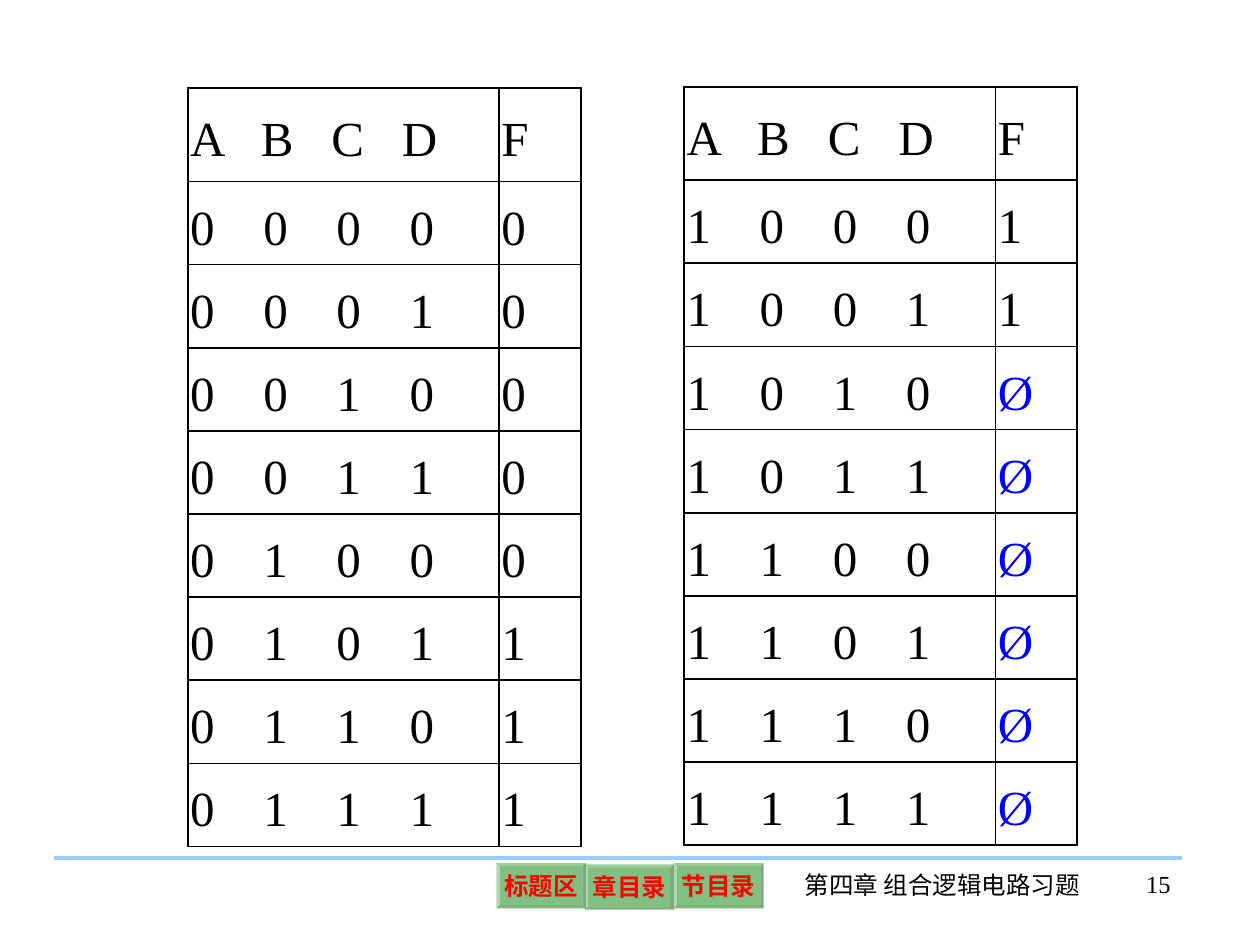
from lxml import etree
from pptx import Presentation, util as u
from pptx.dml.color import RGBColor
from pptx.enum import shapes, text
from pptx.oxml.ns import qn

# Content: inputs ABCD count upwards from the start value, outputs are listed
INPUTS = "ABCD"
TRUTH_TABLES = [
    {"left": 1.49, "top": 0.7, "start": 0, "outputs": "00000111"},
    {"left": 5.43, "top": 0.69, "start": 8, "outputs": "11ØØØØØØ"},
]
BUTTONS = [("标题区", 3.94, 6.85), ("章目录", 4.64, 6.86), ("节目录", 5.35, 6.85)]
FOOTERS = [
    ("第四章 组合逻辑电路习题", 6.15, 6.86, 2.66, text.PP_ALIGN.CENTER),
    ("15", 8.53, 6.85, 0.86, text.PP_ALIGN.RIGHT),
]

THEME = {
    "font": "Times New Roman",
    "table_size": 28, "small_size": 14,
    "ink": "000000", "dont_care": "0000FF", "rule": "99CCFF",
    "button": "008000", "button_text": "FF0000",
}
COLUMN_WIDTHS = (2.47, 0.65)
HEADER_HEIGHT, ROW_HEIGHT = 0.74, 0.66
HEADER_STEP, DIGIT_STEP = 0.56, 0.58
BORDER_WIDTH = 1.08


def style(paragraph, size, color="ink", bold=False):
    for run in paragraph.runs:
        run.font.name = THEME["font"]
        run.font.size = u.Pt(THEME[size])
        run.font.bold = bold
        run.font.color.rgb = RGBColor.from_string(THEME[color])


def add_tab_stops(paragraph, step):
    stops = etree.SubElement(paragraph._p.get_or_add_pPr(), qn("a:tabLst"))
    for n in range(1, len(INPUTS)):
        etree.SubElement(stops, qn("a:tab"), pos=str(u.Inches(step * n)), algn="l")


def add_borders(cell):
    properties = cell._tc.get_or_add_tcPr()
    for side in ("lnL", "lnR", "lnT", "lnB"):
        border = etree.SubElement(properties, qn(f"a:{side}"), w=str(u.Pt(BORDER_WIDTH)))
        fill = etree.SubElement(border, qn("a:solidFill"))
        etree.SubElement(fill, qn("a:srgbClr"), val=THEME["ink"])


def fill_cell(cell, wording, step):
    add_borders(cell)
    cell.fill.background()
    cell.margin_left = cell.margin_right = u.Inches(0.02)
    cell.margin_top = cell.margin_bottom = u.Inches(0.05)
    cell.vertical_anchor = text.MSO_ANCHOR.MIDDLE
    cell.text_frame.text = wording
    paragraph = cell.text_frame.paragraphs[0]
    paragraph.line_spacing = 1.2
    if "\t" in wording:
        add_tab_stops(paragraph, step)
    style(paragraph, "table_size", "dont_care" if wording == "Ø" else "ink")


def add_truth_table(slide, left, top, start, outputs):
    rows = [(INPUTS, "F")]
    rows += [(f"{start + n:04b}", output) for n, output in enumerate(outputs)]
    height = HEADER_HEIGHT + ROW_HEIGHT * len(outputs)
    table = slide.shapes.add_table(
        len(rows), 2, u.Inches(left), u.Inches(top),
        u.Inches(sum(COLUMN_WIDTHS)), u.Inches(height)).table
    table.first_row = table.horz_banding = False
    for column, width in zip(table.columns, COLUMN_WIDTHS):
        column.width = u.Inches(width)
    for r, (inputs, output) in enumerate(rows):
        table.rows[r].height = u.Inches(ROW_HEIGHT if r else HEADER_HEIGHT)
        step = DIGIT_STEP if r else HEADER_STEP
        fill_cell(table.cell(r, 0), "\t".join(inputs), step)
        fill_cell(table.cell(r, 1), output, step)


def add_button(slide, label, left, top):
    button = slide.shapes.add_shape(
        shapes.MSO_SHAPE.BEVEL, u.Inches(left), u.Inches(top),
        u.Inches(0.71), u.Inches(0.36))
    button.adjustments[0] = 0.07
    button.shadow.inherit = False
    button.line.fill.background()
    button.fill.solid()
    button.fill.fore_color.rgb = RGBColor.from_string(THEME["button"])
    color = button._element.spPr.find(f"{qn('a:solidFill')}/{qn('a:srgbClr')}")
    etree.SubElement(color, qn("a:alpha"), val="49000")
    frame = button.text_frame
    frame.word_wrap = False
    frame.vertical_anchor = text.MSO_ANCHOR.MIDDLE
    frame.margin_left = frame.margin_right = u.Inches(0.04)
    frame.margin_top = frame.margin_bottom = u.Inches(0.04)
    frame.text = label
    frame.paragraphs[0].alignment = text.PP_ALIGN.CENTER
    style(frame.paragraphs[0], "small_size", "button_text", bold=True)


def add_footer(slide, wording, left, top, width, alignment):
    frame = slide.shapes.add_textbox(
        u.Inches(left), u.Inches(top), u.Inches(width), u.Inches(0.5)).text_frame
    frame.word_wrap = True
    frame.text = wording
    frame.paragraphs[0].alignment = alignment
    style(frame.paragraphs[0], "small_size")


def main():
    deck = Presentation()
    deck.slide_width, deck.slide_height = u.Inches(10), u.Inches(7.5)
    slide = deck.slides.add_slide(deck.slide_layouts[6])

    # Rule above the footer
    rule = slide.shapes.add_connector(
        shapes.MSO_CONNECTOR.STRAIGHT,
        u.Inches(0.43), u.Inches(6.81), u.Inches(9.38), u.Inches(6.81))
    rule.line.color.rgb = RGBColor.from_string(THEME["rule"])
    rule.line.width = u.Pt(2.25)
    etree.SubElement(rule._element.spPr, qn("a:effectLst"))

    # Truth tables
    for truth_table in TRUTH_TABLES:
        add_truth_table(slide, **truth_table)

    # Navigation buttons and footer
    for button in BUTTONS:
        add_button(slide, *button)
    for footer in FOOTERS:
        add_footer(slide, *footer)

    deck.save("out.pptx")


if __name__ == "__main__":
    main()
